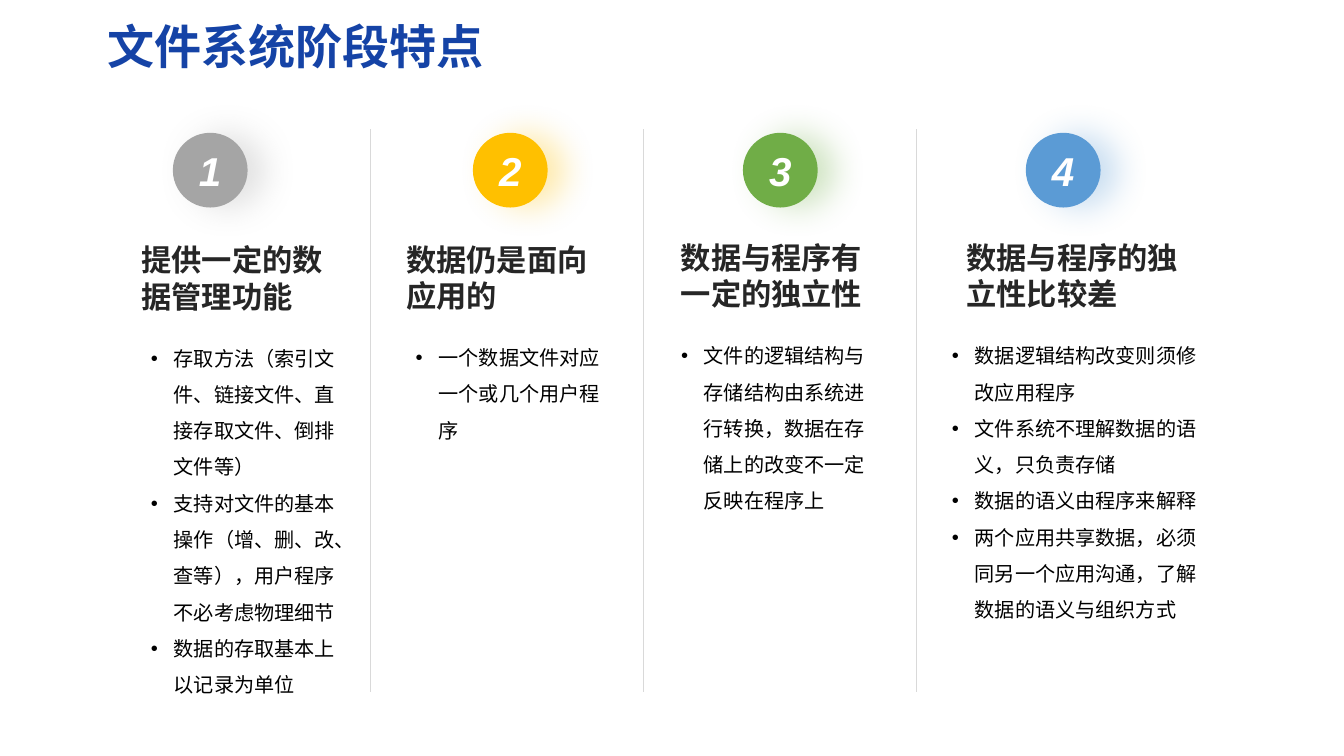
from dataclasses import dataclass

from lxml.etree import SubElement
from pptx import Presentation
from pptx.dml.color import RGBColor
from pptx.enum.shapes import MSO_CONNECTOR, MSO_SHAPE
from pptx.enum.text import MSO_ANCHOR, PP_ALIGN
from pptx.oxml.ns import qn
from pptx.util import Cm, Pt

COLORS = {
    "title": "1543A6", "heading": "262626", "body": "000000",
    "number": "FFFFFF", "divider": "D9D9D9",
    "grey": "A5A5A5", "yellow": "FFC000", "green": "70AD47", "blue": "5B9BD5",
}
CJK_FONT = "Noto Sans CJK SC"
BADGE_SIZE = 1.57
BADGE_TOP = 2.79
BODY_OFFSET = 1.94
BULLET_INDENT = 0.48


@dataclass
class Feature:
    color: str
    badge_left: float
    heading: str
    heading_box: tuple  # left, top, width
    points: list
    body_box: tuple  # left, width, height
    heading_align: PP_ALIGN = PP_ALIGN.LEFT


FEATURES = [
    Feature("grey", 3.63, "提供一定的数据管理功能", (2.72, 4.95, 4.72),
            ["存取方法（索引文件、链接文件、直接存取文件、倒排文件等）",
             "支持对文件的基本操作（增、删、改、查等），用户程序不必考虑物理细节",
             "数据的存取基本上以记录为单位"], (2.92, 4.45, 2.44)),
    Feature("yellow", 9.93, "数据仍是面向应用的", (8.28, 4.94, 4.72),
            ["一个数据文件对应一个或几个用户程序"], (8.48, 4.45, 2.44)),
    Feature("green", 15.6, "数据与程序有一定的独立性", (13.84, 4.9, 4.72),
            ["文件的逻辑结构与存储结构由系统进行转换，数据在存储上的改变不一定反映在程序上"],
            (14.05, 4.45, 2.44), PP_ALIGN.CENTER),
    Feature("blue", 21.54, "数据与程序的独立性比较差", (20.04, 4.9, 5.08),
            ["数据逻辑结构改变则须修改应用程序",
             "文件系统不理解数据的语义，只负责存储",
             "数据的语义由程序来解释",
             "两个应用共享数据，必须同另一个应用沟通，了解数据的语义与组织方式"],
            (19.74, 5.97, 4.7)),
]


def rgb(name):
    return RGBColor.from_string(COLORS[name])


def add_run(paragraph, text, size, color, font=CJK_FONT, bold=False, italic=False):
    run = paragraph.add_run()
    run.text = text
    run.font.size = Pt(size)
    run.font.name = font
    run.font.bold = bold
    run.font.italic = italic
    run.font.color.rgb = rgb(color)
    SubElement(run.font._element, qn("a:ea"), typeface=font)


def add_text_frame(slide, left, top, width, height):
    frame = slide.shapes.add_textbox(Cm(left), Cm(top), Cm(width), Cm(height)).text_frame
    frame.word_wrap = True
    return frame


def add_bullet(paragraph):
    properties = paragraph._p.get_or_add_pPr()
    properties.set("marL", str(Cm(BULLET_INDENT)))
    properties.set("indent", str(-Cm(BULLET_INDENT)))
    SubElement(properties, qn("a:buFont"), typeface="Arial")
    SubElement(properties, qn("a:buChar"), char="•")


def add_glow_shadow(shape, color):
    effects = SubElement(shape._element.spPr, qn("a:effectLst"))
    shadow = SubElement(effects, qn("a:outerShdw"), blurRad=str(Pt(20)),
                        dist=str(Pt(10)), dir="0", algn="l", rotWithShape="0")
    tint = SubElement(shadow, qn("a:srgbClr"), val=COLORS[color])
    SubElement(tint, qn("a:alpha"), val="32000")


def add_title(slide, left, top, width, height):
    frame = add_text_frame(slide, left, top, width, height)
    frame.vertical_anchor = MSO_ANCHOR.MIDDLE
    frame.paragraphs[0].line_spacing = 0.9
    add_run(frame.paragraphs[0], "文件系统阶段特点", 28, "title", bold=True)


def add_dividers(slide, left, top, gap, height):
    for index in range(len(FEATURES) - 1):
        x = Cm(left + index * gap)
        divider = slide.shapes.add_connector(
            MSO_CONNECTOR.STRAIGHT, x, Cm(top + height), x, Cm(top))
        divider.line.color.rgb = rgb("divider")
        divider.line.width = Pt(0.25)
        SubElement(divider._element.spPr, qn("a:effectLst"))


def add_badge(slide, number, color, left, top, size):
    badge = slide.shapes.add_shape(
        MSO_SHAPE.OVAL, Cm(left), Cm(top), Cm(size), Cm(size))
    badge.fill.solid()
    badge.fill.fore_color.rgb = rgb(color)
    badge.line.fill.background()
    add_glow_shadow(badge, color)
    frame = badge.text_frame
    frame.margin_left = frame.margin_right = frame.margin_top = frame.margin_bottom = 0
    frame.vertical_anchor = MSO_ANCHOR.MIDDLE
    frame.paragraphs[0].alignment = PP_ALIGN.CENTER
    add_run(frame.paragraphs[0], str(number), 24, "number", "Arial", True, True)


def add_feature(slide, number, feature):
    add_badge(slide, number, feature.color, feature.badge_left, BADGE_TOP, BADGE_SIZE)

    # Heading
    left, top, width = feature.heading_box
    heading = add_text_frame(slide, left, top, width, 1.8).paragraphs[0]
    heading.alignment = feature.heading_align
    add_run(heading, feature.heading, 18, "heading", bold=True)

    # Bulleted points
    left, width, height = feature.body_box
    body = add_text_frame(slide, left, top + BODY_OFFSET, width, height)
    for index, point in enumerate(feature.points):
        paragraph = body.add_paragraph() if index else body.paragraphs[0]
        add_bullet(paragraph)
        paragraph.line_spacing = 1.5
        add_run(paragraph, point, 12, "body")


def main():
    deck = Presentation()
    deck.slide_width, deck.slide_height = Cm(28.22), Cm(15.88)
    slide = deck.slides.add_slide(deck.slide_layouts[6])
    add_title(slide, 2.01, 0.3, 25.37, 1.45)
    add_dividers(slide, 7.77, 2.72, 5.73, 11.81)
    for number, feature in enumerate(FEATURES, 1):
        add_feature(slide, number, feature)
    deck.save("out.pptx")


if __name__ == "__main__":
    main()
